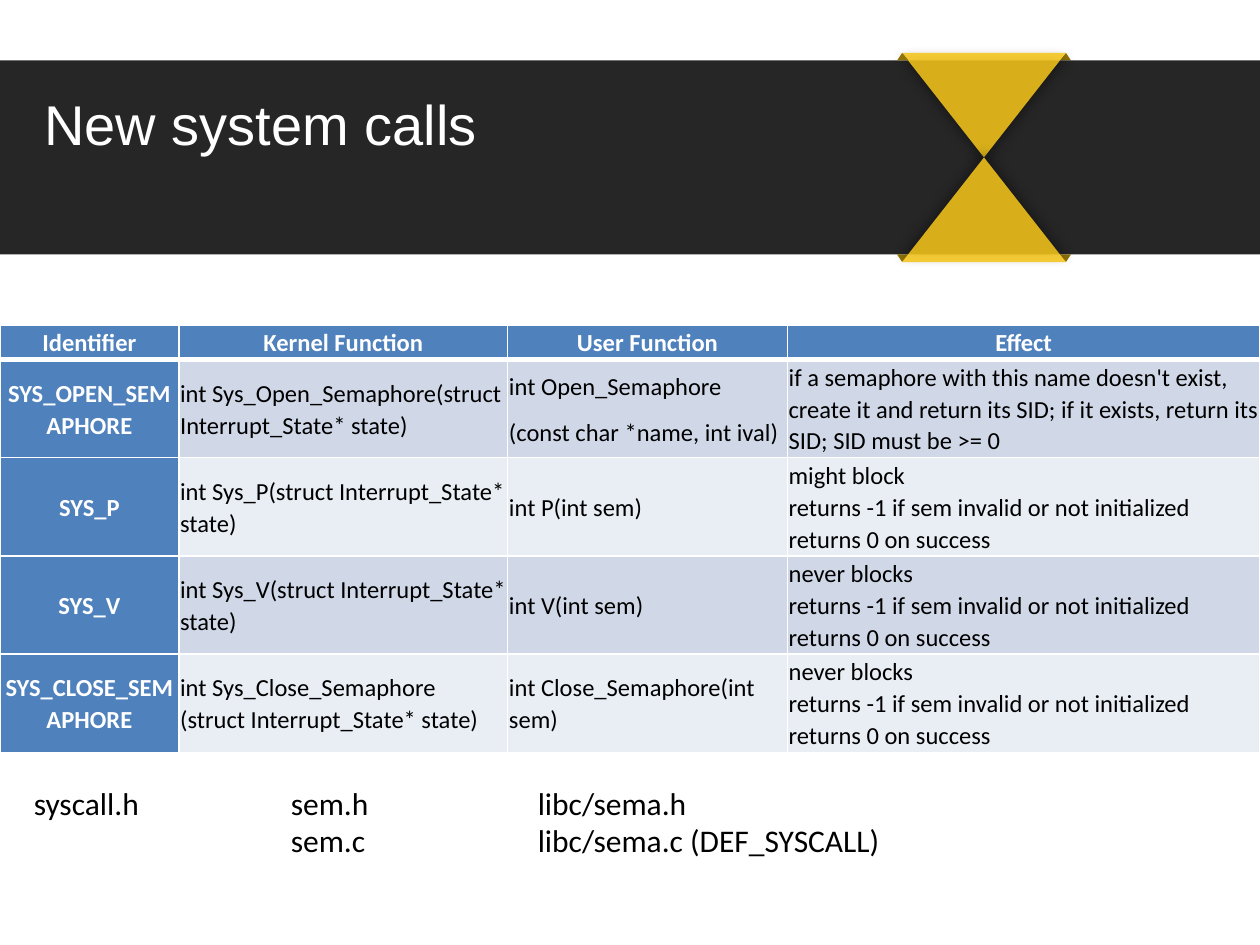
from dataclasses import dataclass

from lxml.etree import SubElement
from pptx import Presentation
from pptx.dml.color import RGBColor as RGB
from pptx.enum.shapes import MSO_SHAPE as Shape
from pptx.enum.text import MSO_ANCHOR as Anchor, MSO_AUTO_SIZE as Auto, PP_ALIGN as Align
from pptx.oxml.ns import qn
from pptx.util import Inches, Pt


@dataclass(frozen=True)
class Theme:
    white: str = "FFFFFF"
    black: str = "000000"
    band: str = "262626"
    gold: str = "F5C61B"
    fold: str = "907206"
    head: str = "4F81BD"
    rows: tuple = ("D0D8E8", "E9EDF4")
    sans: str = "Arial"
    body: str = "Calibri"
    big: int = 32
    mid: int = 18
    small: int = 14


T = Theme()
TITLE = "New system calls"
RESULT = ["returns -1 if sem invalid or not initialized ", "returns 0 on success"]

# Each cell is a list of paragraphs, each paragraph a list of lines.
HEADS = ["Identifier", "Kernel Function", "User Function", "Effect"]
CALLS = [
    ("SYS_OPEN_SEMAPHORE",
     [["int Sys_Open_Semaphore(struct Interrupt_State* state)"]],
     [["int Open_Semaphore"], ["(const char *name, int ival)"]],
     [["if a semaphore with this name doesn't exist, create it and return its SID; "
       "if it exists, return its SID; SID must be >= 0"]]),
    ("SYS_P",
     [["int Sys_P(struct Interrupt_State* state)"]],
     [["int P(int sem)"]],
     [["might block ", *RESULT]]),
    ("SYS_V",
     [["int Sys_V(struct Interrupt_State* state)"]],
     [["int V(int sem)"]],
     [["never blocks ", *RESULT]]),
    ("SYS_CLOSE_SEMAPHORE",
     [["int Sys_Close_Semaphore (struct Interrupt_State* state)"]],
     [["int Close_Semaphore(int sem)"]],
     [["never blocks ", *RESULT]]),
]
COLS = [1.42, 2.61, 2.22, 3.75]
HEAD_H, ROW_H = 0.27, 0.77

FILES = [
    (0.17, 1.04, ["syscall.h"]),
    (2.21, 0.82, ["sem.h", "sem.c"]),
    (4.17, 2.94, ["libc/sema.h", "libc/sema.c (DEF_SYSCALL)"]),
]

BAND_TOP, BAND_END = 0.48, 2.02
GLASS_L, GLASS_R, GLASS_TOP, GLASS_END = 7.16, 8.46, 0.42, 2.08


def add_run(para, text, size, color, font=T.body, bold=False):
    run = para.add_run()
    run.text = text
    run.font.name, run.font.size, run.font.bold = font, Pt(size), bold
    run.font.color.rgb = RGB.from_string(color)


def paint(shape, color):
    shape.shadow.inherit = False
    shape.fill.solid()
    shape.fill.fore_color.rgb = RGB.from_string(color)
    shape.line.fill.background()


def add_fold(slide, tip, foot, side):
    """Add a small corner fold; side is -1 at the left, 1 at the right."""
    x = GLASS_L if side < 0 else GLASS_R
    pts = [(x, tip), (x + side * 0.04, foot), (x - side * 0.05, foot)]
    pts = [(Inches(a), Inches(b)) for a, b in pts]
    form = slide.shapes.build_freeform(*pts[0])
    form.add_line_segments(pts[1:], close=True)
    paint(form.convert_to_shape(), T.fold)


def add_half(slide, top, turn):
    """Add one half of the hourglass, its shadow cast toward the angle turn."""
    half = slide.shapes.add_shape(
        Shape.ISOSCELES_TRIANGLE, Inches(GLASS_L), Inches(top),
        Inches(GLASS_R - GLASS_L), Inches((GLASS_END - GLASS_TOP) / 2))
    paint(half, T.gold)
    props = half._element.spPr
    if turn == 90:
        props.find(qn("a:xfrm")).set("flipV", "1")
    tint = props.find(qn("a:solidFill"))[0]
    SubElement(tint, qn("a:alpha"), val="87000")
    cast = SubElement(props.find(qn("a:effectLst")), qn("a:outerShdw"),
                      blurRad=str(Pt(7)), dist=str(Pt(3)),
                      dir=str(turn * 60000), algn="ctr", rotWithShape="0")
    ink = SubElement(cast, qn("a:srgbClr"), val=T.black)
    SubElement(ink, qn("a:alpha"), val="40000")


def add_banner(slide):
    add_fold(slide, GLASS_TOP, BAND_TOP, 1)
    band = slide.shapes.add_shape(Shape.RECTANGLE, 0, Inches(BAND_TOP),
                                  Inches(10), Inches(BAND_END - BAND_TOP))
    paint(band, T.band)
    add_half(slide, GLASS_TOP, 90)
    add_fold(slide, GLASS_TOP, BAND_TOP, -1)
    for side in (1, -1):
        add_fold(slide, GLASS_END, BAND_END, side)
    add_half(slide, (GLASS_TOP + GLASS_END) / 2, 270)


def set_title(slide):
    title = slide.shapes.title
    title.left, title.top = Inches(0.25), Inches(0.63)
    title.width, title.height = Inches(5.92), Inches(0.7)
    title.text_frame.vertical_anchor = Anchor.MIDDLE
    para = title.text_frame.paragraphs[0]
    para.alignment = Align.LEFT
    add_run(para, TITLE, T.big, T.white, T.sans)
    # Bring the title in front of the banner.
    slide.shapes._spTree.append(title._element)


def add_edges(cell, row):
    props = cell._tc.get_or_add_tcPr()
    wide = {0: "B", 1: "T"}.get(row)
    for spot, side in enumerate("LRTB"):
        edge = props.makeelement(qn(f"a:ln{side}"), w=str(Pt(3 if side == wide else 1)))
        fill = SubElement(edge, qn("a:solidFill"))
        SubElement(fill, qn("a:srgbClr"), val=T.white)
        props.insert(spot, edge)


def fill_cell(cell, paras, row, label):
    cell.fill.solid()
    cell.fill.fore_color.rgb = RGB.from_string(T.head if label else T.rows[(row - 1) % 2])
    cell.vertical_anchor = Anchor.MIDDLE
    cell.margin_left = cell.margin_right = Inches(0.01)
    cell.margin_top = cell.margin_bottom = Inches(0.01)
    frame = cell.text_frame
    for i, lines in enumerate(paras):
        para = frame.add_paragraph() if i else frame.paragraphs[0]
        para.alignment = Align.CENTER if label else Align.LEFT
        para.line_spacing, para.space_after = 1.07, Pt(8)
        for j, line in enumerate(lines):
            if j:
                para.add_line_break()
            add_run(para, line, T.small, T.white if label else T.black, bold=label)
    add_edges(cell, row)


def add_calls(slide):
    grid = [[[[head]] for head in HEADS]]
    grid += [[[[name]], *rest] for name, *rest in CALLS]
    high = HEAD_H + ROW_H * len(CALLS)
    table = slide.shapes.add_table(len(grid), len(COLS), 0, Inches(2.58),
                                   Inches(sum(COLS)), Inches(high)).table
    for col, wide in zip(table.columns, COLS):
        col.width = Inches(wide)
    for r, cells in enumerate(grid):
        table.rows[r].height = Inches(ROW_H if r else HEAD_H)
        for c, paras in enumerate(cells):
            fill_cell(table.cell(r, c), paras, r, r == 0 or c == 0)


def add_files(slide):
    for left, wide, names in FILES:
        box = slide.shapes.add_textbox(Inches(left), Inches(6.17), Inches(wide),
                                       Inches(0.1 + 0.3 * len(names)))
        frame = box.text_frame
        frame.word_wrap, frame.auto_size = False, Auto.SHAPE_TO_FIT_TEXT
        for i, name in enumerate(names):
            para = frame.add_paragraph() if i else frame.paragraphs[0]
            add_run(para, name, T.mid, T.black)


def main():
    deck = Presentation()
    deck.slide_width, deck.slide_height = Inches(10), Inches(7.5)
    slide = deck.slides.add_slide(deck.slide_layouts[5])
    add_banner(slide)
    set_title(slide)
    add_calls(slide)
    add_files(slide)
    deck.save("out.pptx")


if __name__ == "__main__":
    main()
